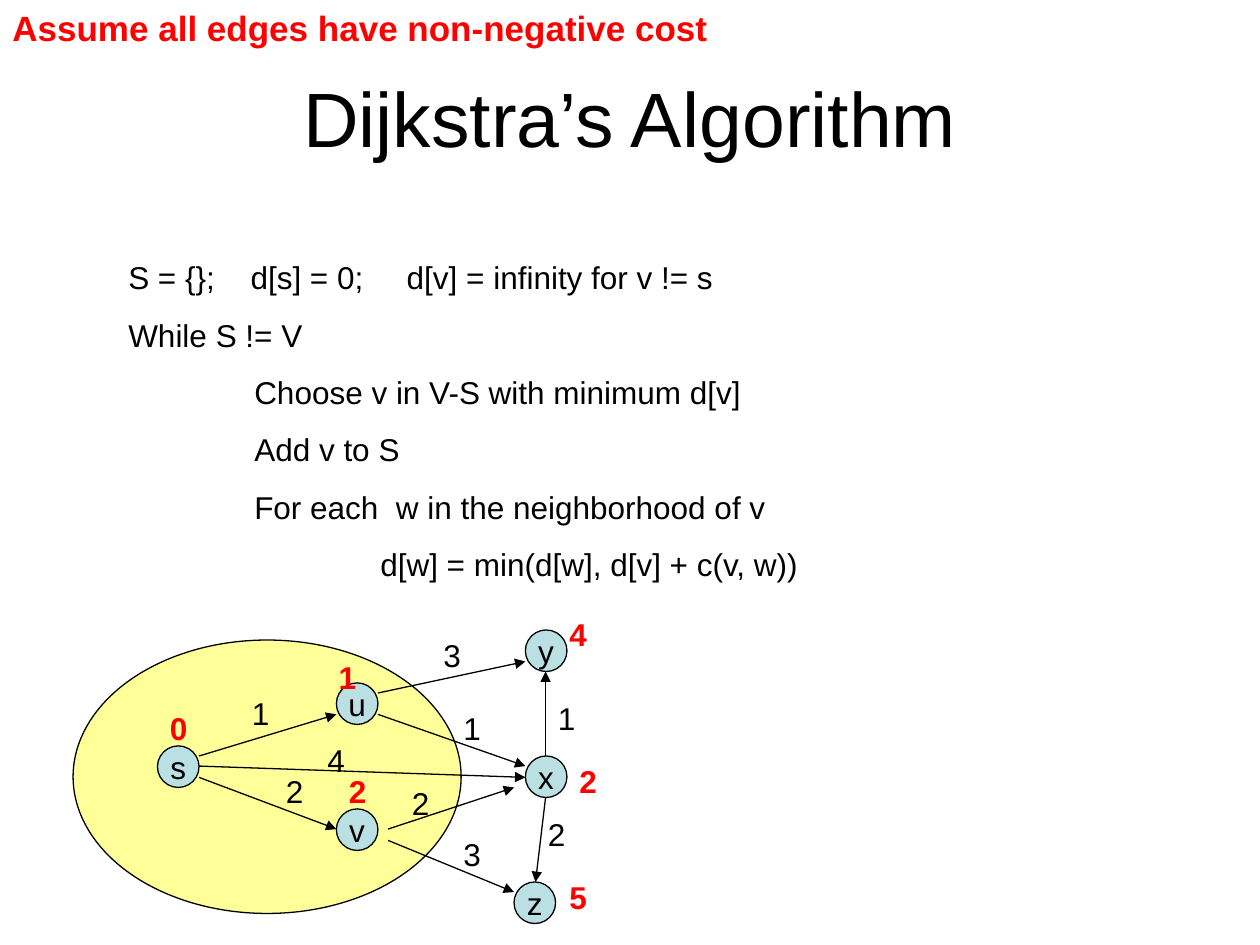
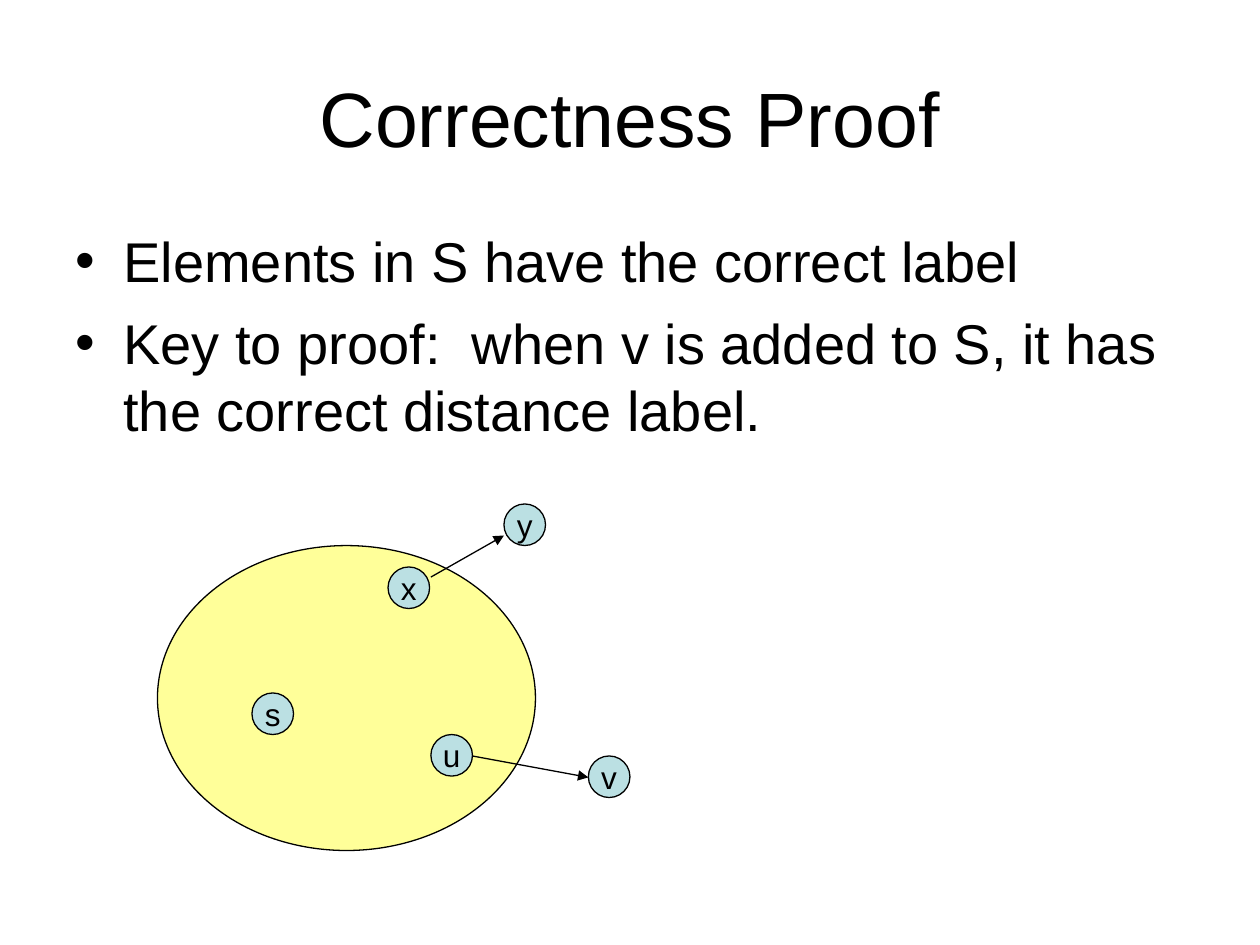
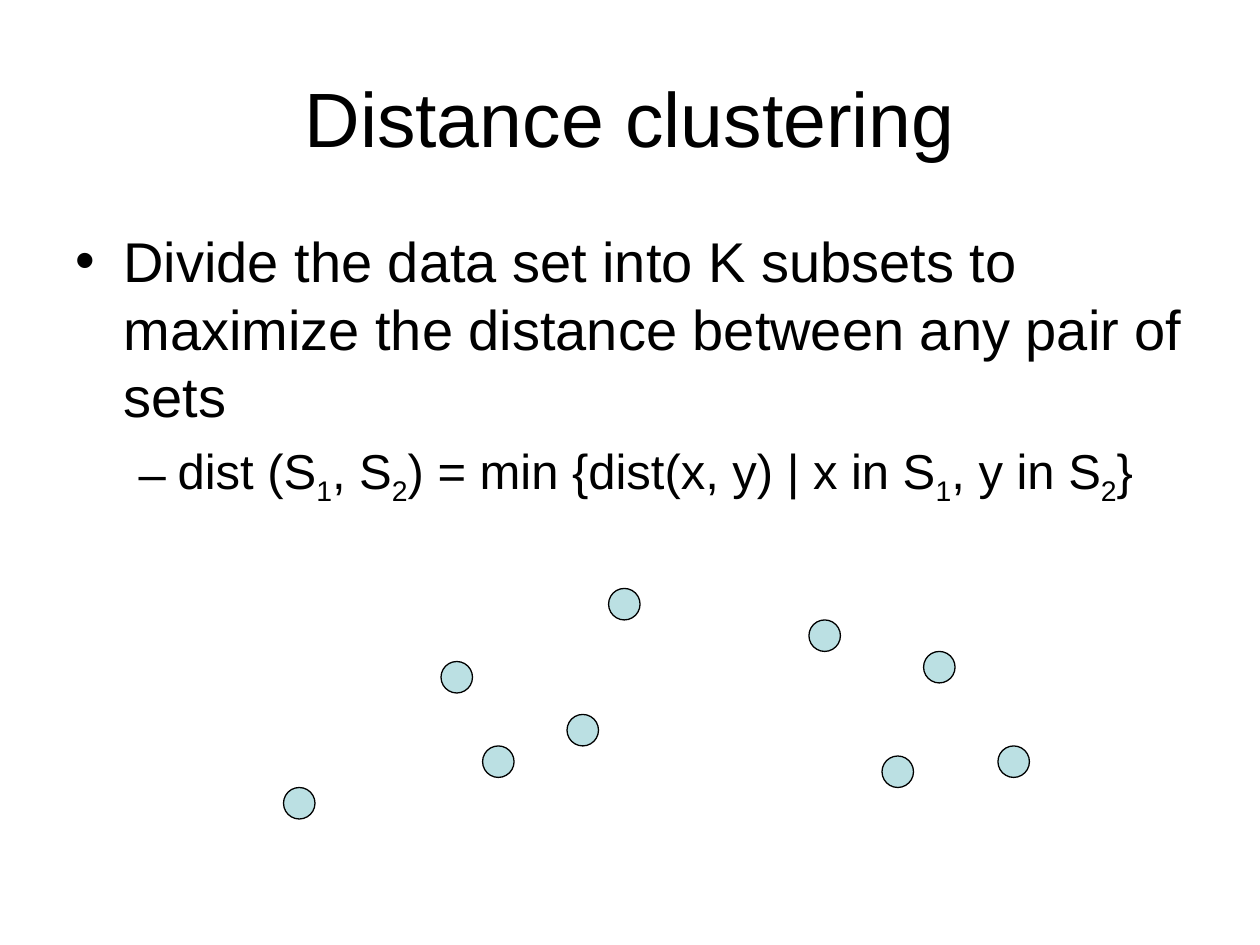
import pptx
import pptx.dml.color
import pptx.enum.shapes
import pptx.enum.text
import pptx.oxml.ns
import pptx.util
from lxml import etree
from pptx.util import Inches

FONT = "Arial"
BLACK, RED, YELLOW, BLUE = "000000", "FF0000", "FFFF99", "BBE0E3"
NODE_SIZE, DOT_SIZE, LABEL_SIZE = 0.33, 0.25, (0.34, 0.4)
TITLE_BOX = (0.5, 0.3, 9, 1.25)

# Level: bullet, left margin, hanging indent, text size, space before
LEVELS = [("•", 0.38, 0.38, 32, 8), ("–", 0.81, 0.31, 28, 7)]

ASSUMPTION = "Assume all edges have non-negative cost"
# Indent level and text
PSEUDOCODE = [
    (0, "S = {};\td[s] = 0;\td[v] = infinity for v != s"),
    (0, "While S != V"),
    (1, "Choose v in V-S with minimum d[v]"),
    (1, "Add v to S"),
    (1, "For each  w in the neighborhood of v"),
    (2, "d[w] = min(d[w], d[v] + c(v, w))"),
]
STATEMENT_TABS = (0.97, 2.21)

DIJKSTRA_GRAPH = {
    "set": (0.58, 5.08, 3.08, 2.17),
    "nodes": {"s": (1.25, 5.92), "u": (2.67, 5.42), "v": (2.67, 6.42),
              "z": (4.08, 7), "y": (4.17, 5), "x": (4.17, 6)},
    "edges": [
        ((1.58, 6), (2.67, 5.67)), ((1.58, 6.17), (2.67, 6.58)),
        ((1.58, 6.08), (4.17, 6.17)), ((3, 5.5), (4.17, 5.25)),
        ((3, 5.67), (4.17, 6.08)), ((3.08, 6.58), (4.08, 6.25)),
        ((3.08, 6.67), (4.08, 7.08)), ((4.33, 6), (4.33, 5.33)),
        ((4.33, 6.33), (4.25, 7)),
    ],
}
EDGE_COSTS = [
    ("1", 1.9, 5.46), ("4", 2.5, 5.83), ("3", 3.42, 5), ("2", 2.17, 6.08),
    ("3", 3.58, 6.58), ("2", 3.17, 6.17), ("1", 3.58, 5.58),
    ("2", 4.25, 6.42), ("1", 4.33, 5.5),
]
DISTANCES = [
    ("0", 1.25, 5.58), ("1", 2.59, 5.17), ("2", 2.67, 6.08),
    ("2", 4.5, 6), ("5", 4.42, 6.92), ("4", 4.42, 4.83),
]

# Level and text parts; every second part is a subscript
PROOF_POINTS = [
    (0, ["Elements in S have the correct label"]),
    (0, ["Key to proof:  when v is added to S, it has the correct distance label."]),
]
PROOF_GRAPH = {
    "set": (1.25, 4.33, 3, 2.42),
    "nodes": {"s": (2, 5.5), "y": (4, 4), "v": (4.67, 6),
              "x": (3.08, 4.5), "u": (3.42, 5.83)},
    "edges": [((3.42, 4.58), (4, 4.25)), ((3.75, 6), (4.67, 6.17))],
}

CLUSTERING_POINTS = [
    (0, ["Divide the data set into K subsets to maximize the distance "
         "between any pair of sets"]),
    (1, ["dist (S", "1", ", S", "2", ") = min {dist(x, y) | x in S", "1",
         ", y in S", "2", "}"]),
]
DATA_POINTS = [
    (3.5, 5.25), (4.5, 5.67), (6.42, 4.92), (7, 6), (7.33, 5.17),
    (3.83, 5.92), (2.25, 6.25), (7.92, 5.92), (4.83, 4.67),
]


def color(hex_value):
    return pptx.dml.color.RGBColor.from_string(hex_value)


def add_element(parent, tag, **attributes):
    element = etree.SubElement(parent, pptx.oxml.ns.qn(tag))
    for name, value in attributes.items():
        element.set(name, str(value))
    return element


def format_runs(para, size, hex_value=BLACK, bold=False):
    for span in para.runs:
        span.font.name = FONT
        span.font.size = pptx.util.Pt(size)
        span.font.bold = bold
        span.font.color.rgb = color(hex_value)


def place(shape, left, top, width, height):
    shape.left, shape.top = Inches(left), Inches(top)
    shape.width, shape.height = Inches(width), Inches(height)


def add_slide(deck, layout_index, title):
    page = deck.slides.add_slide(deck.slide_layouts[layout_index])
    heading = page.shapes.title
    place(heading, *TITLE_BOX)
    frame = heading.text_frame
    frame.text = title
    frame.auto_size = pptx.enum.text.MSO_AUTO_SIZE.NONE
    frame.vertical_anchor = pptx.enum.text.MSO_ANCHOR.MIDDLE
    frame.paragraphs[0].alignment = pptx.enum.text.PP_ALIGN.CENTER
    format_runs(frame.paragraphs[0], 44)
    return page


def fill_body(page, points, height):
    body = page.placeholders[1]
    place(body, 0.5, 1.75, 9, height)
    frame = body.text_frame
    frame.auto_size = pptx.enum.text.MSO_AUTO_SIZE.NONE
    for index, (level, parts) in enumerate(points):
        para = frame.add_paragraph() if index else frame.paragraphs[0]
        bullet, margin, hanging, size, space = LEVELS[level]
        para.level = level
        properties = para._p.get_or_add_pPr()
        properties.set("marL", str(Inches(margin)))
        properties.set("indent", str(-Inches(hanging)))
        add_element(properties, "a:buFont", typeface=FONT)
        add_element(properties, "a:buChar", char=bullet)
        para.space_before = pptx.util.Pt(space if index else 0)
        for part_index, part in enumerate(parts):
            span = para.add_run()
            span.text = part
            if part_index % 2:
                span._r.get_or_add_rPr().set("baseline", "-25000")
        format_runs(para, size)


def add_text(page, text, box, size=18, hex_value=BLACK, bold=False):
    frame = page.shapes.add_textbox(*map(Inches, box)).text_frame
    frame.word_wrap = True
    frame.text = text
    format_runs(frame.paragraphs[0], size, hex_value, bold)


def add_pseudocode(page):
    frame = page.shapes.add_textbox(*map(Inches, (0.92, 2, 8.83, 2.68))).text_frame
    frame.word_wrap = True
    for index, (indent, text) in enumerate(PSEUDOCODE):
        para = frame.add_paragraph() if index else frame.paragraphs[0]
        para.text = text
        properties = para._p.get_or_add_pPr()
        properties.set("marL", str(Inches(indent)))
        if "\t" in text:
            tabs = add_element(properties, "a:tabLst")
            for position in STATEMENT_TABS:
                add_element(tabs, "a:tab", pos=Inches(position), algn="l")
        para.space_before = pptx.util.Pt(11.2 if index else 0)
        format_runs(para, 18)


def add_ellipse(page, box, hex_value):
    ellipse = page.shapes.add_shape(
        pptx.enum.shapes.MSO_SHAPE.OVAL, *map(Inches, box))
    ellipse.shadow.inherit = False
    ellipse.fill.solid()
    ellipse.fill.fore_color.rgb = color(hex_value)
    ellipse.line.color.rgb = color(BLACK)
    ellipse.line.width = pptx.util.Pt(0.75)
    return ellipse


def add_node(page, name, left, top):
    frame = add_ellipse(page, (left, top, NODE_SIZE, NODE_SIZE), BLUE).text_frame
    frame.word_wrap = False
    frame.vertical_anchor = pptx.enum.text.MSO_ANCHOR.MIDDLE
    frame.text = name
    frame.paragraphs[0].alignment = pptx.enum.text.PP_ALIGN.CENTER
    format_runs(frame.paragraphs[0], 18)


def add_arrow(page, start, end):
    arrow = page.shapes.add_connector(
        pptx.enum.shapes.MSO_CONNECTOR.STRAIGHT, *map(Inches, start + end))
    arrow.line.color.rgb = color(BLACK)
    arrow.line.width = pptx.util.Pt(0.75)
    add_element(arrow.line._get_or_add_ln(), "a:tailEnd", type="triangle")
    add_element(arrow._element.spPr, "a:effectLst")


def add_graph(page, graph):
    add_ellipse(page, graph["set"], YELLOW)
    for name, corner in graph["nodes"].items():
        add_node(page, name, *corner)
    for start, end in graph["edges"]:
        add_arrow(page, start, end)


def build_dijkstra(deck):
    page = add_slide(deck, 5, "Dijkstra’s Algorithm")
    add_pseudocode(page)
    add_graph(page, DIJKSTRA_GRAPH)
    for cost, left, top in EDGE_COSTS:
        add_text(page, cost, (left, top, *LABEL_SIZE))
    for distance, left, top in DISTANCES:
        add_text(page, distance, (left, top, *LABEL_SIZE), hex_value=RED, bold=True)
    add_text(page, ASSUMPTION, (0, 0, 5.83, 0.44), 20, RED, True)


def build_proof(deck):
    page = add_slide(deck, 1, "Correctness Proof")
    fill_body(page, PROOF_POINTS, 2.08)
    add_graph(page, PROOF_GRAPH)


def build_clustering(deck):
    page = add_slide(deck, 1, "Distance clustering")
    fill_body(page, CLUSTERING_POINTS, 2.67)
    for left, top in DATA_POINTS:
        add_ellipse(page, (left, top, DOT_SIZE, DOT_SIZE), BLUE)


def main():
    deck = pptx.Presentation()
    deck.slide_width, deck.slide_height = Inches(10), Inches(7.5)
    build_dijkstra(deck)
    build_proof(deck)
    build_clustering(deck)
    deck.save("out.pptx")


if __name__ == "__main__":
    main()
